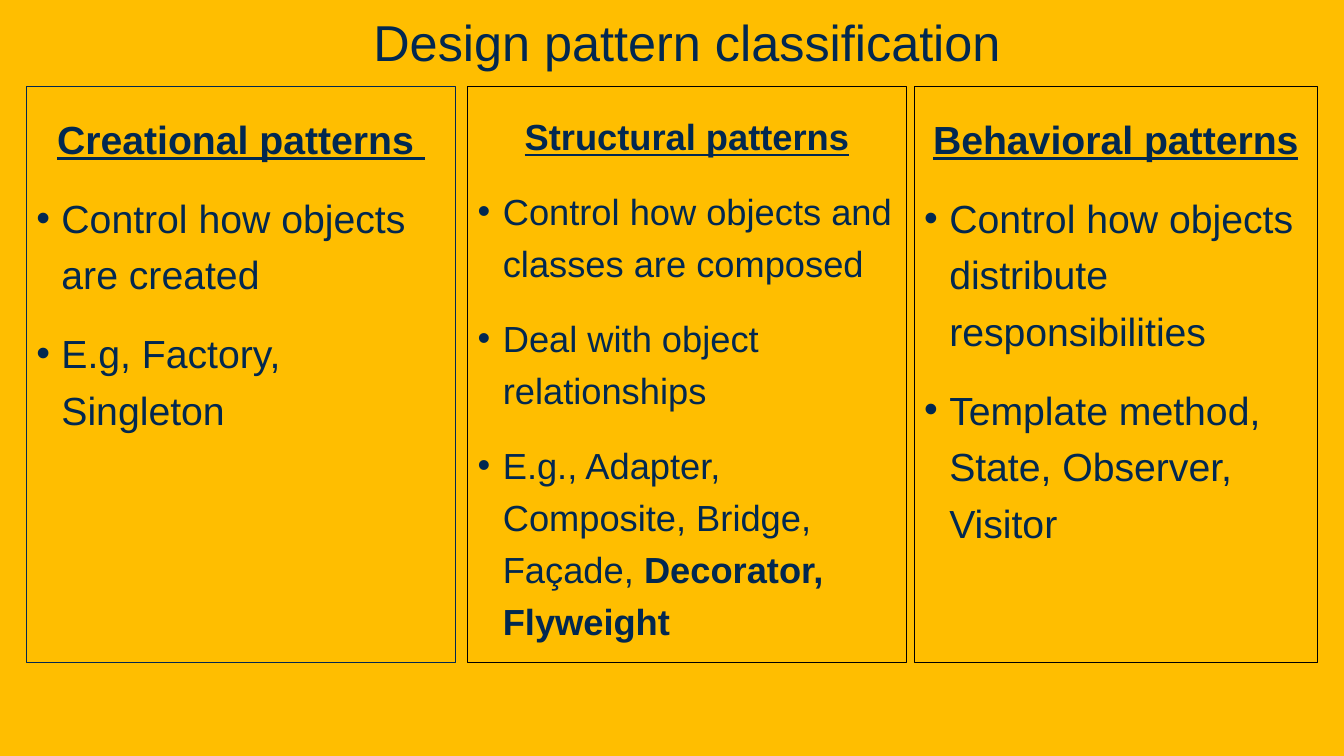
from lxml.etree import SubElement
from pptx import Presentation
from pptx.dml.color import RGBColor
from pptx.enum.text import MSO_ANCHOR as Anchor, MSO_AUTO_SIZE as AutoSize, PP_ALIGN as Align
from pptx.oxml.ns import qn
from pptx.util import Pt

NAVY, BLACK, AMBER = "022850", "000000", "FFBE00"
FONT = "Arial"
WIDTH, HEIGHT = 960, 540
COLUMN_TOP, COLUMN_HEIGHT = 61.9, 411.1

COLUMNS = [
    (18.7, 306.7, NAVY, 28, "Creational patterns ", [
        [("Control how objects are created", False)],
        [("E.g, Factory, Singleton", False)],
    ]),
    (334.1, 313.2, BLACK, 25.9, "Structural patterns", [
        [("Control how objects and classes are composed", False)],
        [("Deal with object relationships", False)],
        [("E.g., Adapter, Composite, Bridge, Façade, ", False),
         ("Decorator, Flyweight", True)],
    ]),
    (653, 288, BLACK, 28, "Behavioral patterns", [
        [("Control how objects distribute responsibilities", False)],
        [("Template method, State, Observer, Visitor", False)],
    ]),
]


def color(value):
    """Turn a hex string into a colour."""
    return RGBColor.from_string(value)


def place(shape, left, top, width, height):
    """Set the box of a shape, in points."""
    shape.left, shape.top = Pt(left), Pt(top)
    shape.width, shape.height = Pt(width), Pt(height)


def add_run(paragraph, text, size, bold=False, underline=False):
    """Append one formatted run."""
    run = paragraph.add_run()
    run.text = text
    font = run.font
    font.name, font.size = FONT, Pt(size)
    font.bold, font.underline = bold, underline
    font.color.rgb = color(NAVY)


def set_indent(paragraph, margin, indent, bullet=None):
    """Set the left margin, first-line indent and bullet."""
    properties = paragraph._p.get_or_add_pPr()
    properties.set("marL", str(Pt(margin)))
    properties.set("indent", str(Pt(indent)))
    if bullet:
        SubElement(properties, qn("a:buFont"), typeface=FONT)
        SubElement(properties, qn("a:buChar"), char=bullet)
    else:
        SubElement(properties, qn("a:buNone"))


def fill_title(shape, text):
    """Write the slide title across the top."""
    place(shape, 0, 0, WIDTH, 54.7)
    frame = shape.text_frame
    frame.word_wrap, frame.auto_size = True, AutoSize.NONE
    frame.vertical_anchor = Anchor.BOTTOM
    paragraph = frame.paragraphs[0]
    set_indent(paragraph, 21.6, 0)
    paragraph.alignment = Align.CENTER
    paragraph.space_before = Pt(0)
    add_run(paragraph, text, 36)


def fill_column(shape, left, width, outline, size, heading, items):
    """Write one outlined column: a heading and its bullets."""
    place(shape, left, COLUMN_TOP, width, COLUMN_HEIGHT)
    shape.line.color.rgb = color(outline)
    shape.line.width = Pt(0.75)
    frame = shape.text_frame
    frame.word_wrap, frame.auto_size = True, AutoSize.NONE
    frame.vertical_anchor = Anchor.TOP
    frame.margin_top = Pt(13.6)
    paragraph = frame.paragraphs[0]
    set_indent(paragraph, 0, 0)
    paragraph.alignment = Align.CENTER
    add_run(paragraph, heading, size, bold=True, underline=True)
    for item in items:
        paragraph = frame.add_paragraph()
        set_indent(paragraph, 18, -18, "•")
        paragraph.alignment = Align.LEFT
        for text, bold in item:
            add_run(paragraph, text, size, bold)
    for index, paragraph in enumerate(frame.paragraphs):
        paragraph.line_spacing = 1.2
        paragraph.space_before = Pt(10 if index else 0)
        paragraph.space_after = Pt(6)


def build_slide(presentation):
    """Add the slide with its title and three columns."""
    slide = presentation.slides.add_slide(presentation.slide_layouts[1])
    slide.background.fill.solid()
    slide.background.fill.fore_color.rgb = color(AMBER)
    fill_title(slide.shapes.title, "Design pattern classification")
    fill_column(slide.placeholders[1], *COLUMNS[0])
    for column in COLUMNS[1:]:
        fill_column(slide.shapes.add_textbox(0, 0, 0, 0), *column)


def main():
    """Build and save the presentation."""
    presentation = Presentation()
    presentation.slide_width, presentation.slide_height = Pt(WIDTH), Pt(HEIGHT)
    build_slide(presentation)
    presentation.save("out.pptx")


if __name__ == "__main__":
    main()
